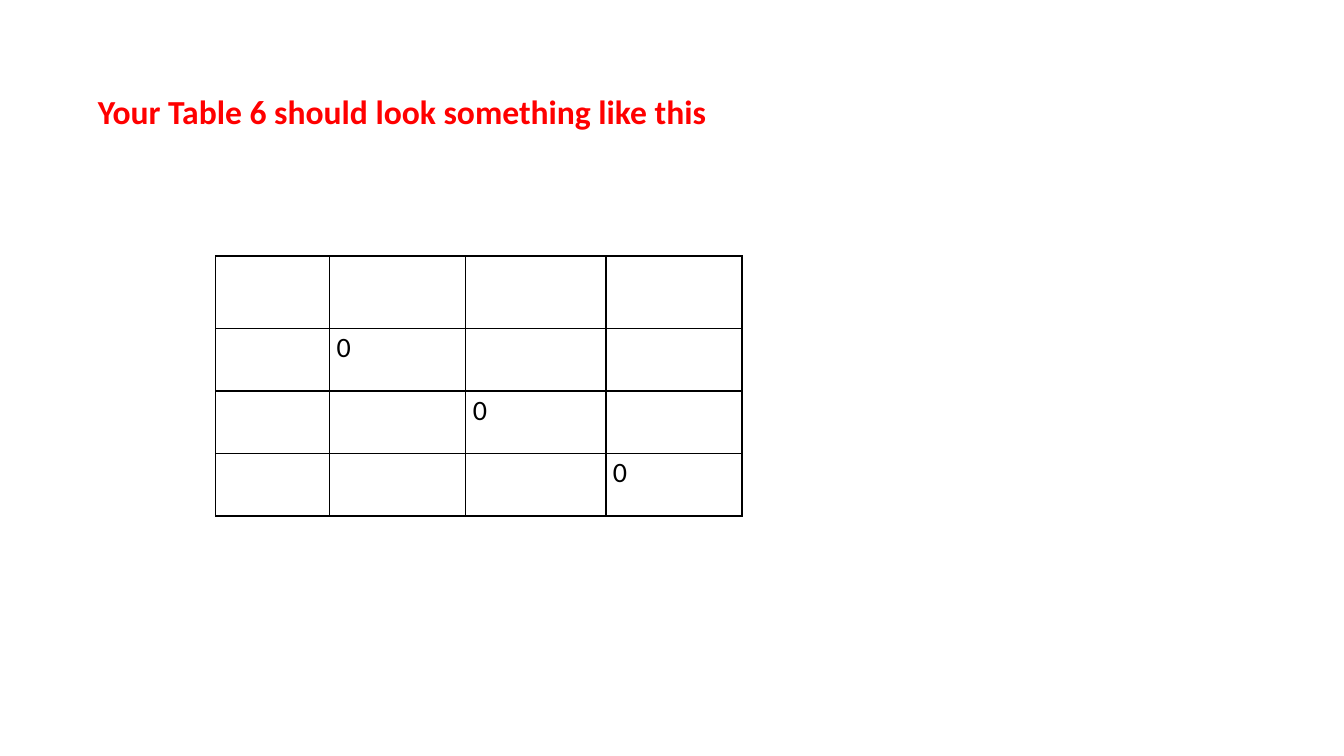
import dataclasses

import lxml.etree
import pptx
import pptx.dml.color
import pptx.enum.text
import pptx.oxml.ns
import pptx.util

Inches = pptx.util.Inches
Pt = pptx.util.Pt


@dataclasses.dataclass(frozen=True)
class Theme:
    font: str = "Calibri"
    heading_color: str = "FF0000"
    ink: str = "000000"
    heading_size: int = 24
    cell_size: int = 20
    border_width: int = 1


class SlideBuilder:
    def __init__(self, slide, theme):
        self.slide = slide
        self.theme = theme

    def style(self, paragraph, size, color, spacing, bold=False):
        paragraph.line_spacing = spacing
        paragraph.font.name = self.theme.font
        paragraph.font.size = Pt(size)
        paragraph.font.bold = bold
        paragraph.font.color.rgb = pptx.dml.color.RGBColor.from_string(color)

    def heading(self, text, left, top, width, height):
        title = self.slide.shapes.title
        title.left, title.top = Inches(left), Inches(top)
        title.width, title.height = Inches(width), Inches(height)
        frame = title.text_frame
        frame.text = text
        frame.word_wrap = True
        frame.auto_size = pptx.enum.text.MSO_AUTO_SIZE.SHAPE_TO_FIT_TEXT
        frame.vertical_anchor = pptx.enum.text.MSO_ANCHOR.TOP
        paragraph = frame.paragraphs[0]
        paragraph.alignment = pptx.enum.text.PP_ALIGN.LEFT
        paragraph.space_before = Pt(0)
        self.style(paragraph, self.theme.heading_size,
                   self.theme.heading_color, 0.9, bold=True)

    def border(self, cell):
        qn = pptx.oxml.ns.qn
        properties = cell._tc.get_or_add_tcPr()
        for position, side in enumerate(("a:lnL", "a:lnR", "a:lnT", "a:lnB")):
            line = lxml.etree.Element(qn(side), w=str(Pt(self.theme.border_width)))
            fill = lxml.etree.SubElement(line, qn("a:solidFill"))
            lxml.etree.SubElement(fill, qn("a:srgbClr"), val=self.theme.ink)
            properties.insert(position, line)

    def grid(self, rows, left, top, widths, heights):
        table = self.slide.shapes.add_table(
            len(heights), len(widths), Inches(left), Inches(top),
            Inches(sum(widths)), Inches(sum(heights))).table
        table.first_row = table.horz_banding = False
        for column, width in zip(table.columns, widths):
            column.width = Inches(width)
        for row, height, values in zip(table.rows, heights, rows):
            row.height = Inches(height)
            for cell, value in zip(row.cells, values):
                cell.text = value
                cell.margin_left = cell.margin_right = Inches(0.07)
                cell.margin_top = cell.margin_bottom = 0
                cell.fill.background()
                self.border(cell)
                self.style(cell.text_frame.paragraphs[0],
                           self.theme.cell_size, self.theme.ink, 1.07)


def main():
    presentation = pptx.Presentation()
    presentation.slide_width = Inches(13.33)
    presentation.slide_height = Inches(7.5)
    slide = presentation.slides.add_slide(presentation.slide_layouts[5])
    builder = SlideBuilder(slide, Theme())

    builder.heading("Your Table 6 should look something like this",
                    0.87, 0.9, 8.12, 0.46)
    zero_diagonal = [["0" if row == column > 0 else "" for column in range(4)]
                     for row in range(4)]
    builder.grid(zero_diagonal, 2.14, 2.54,
                 widths=[1.13, 1.35, 1.39, 1.35],
                 heights=[0.72] + [0.62] * 3)

    presentation.save("out.pptx")


if __name__ == "__main__":
    main()
